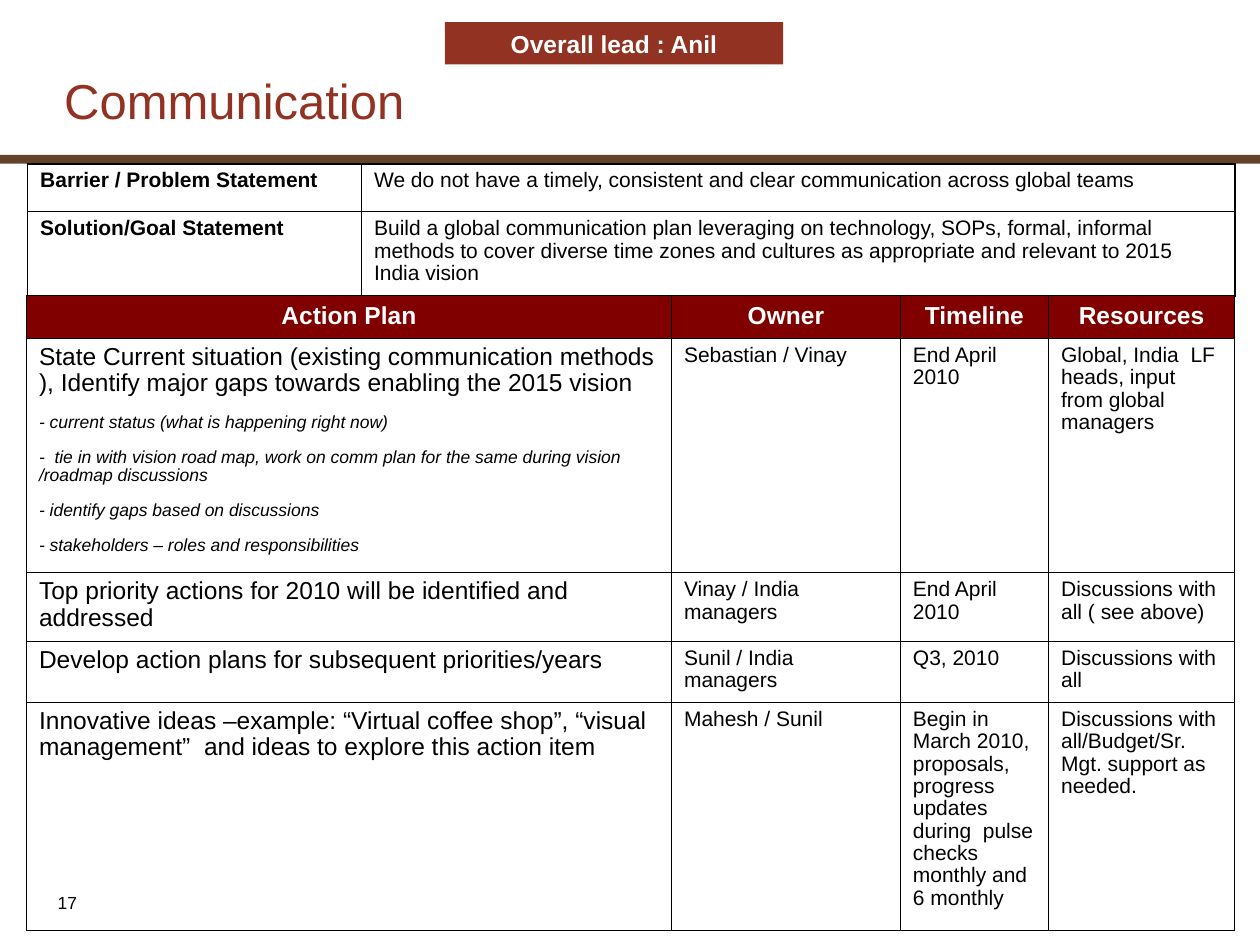
"""Build the Communication action plan slide."""
from dataclasses import dataclass

from lxml.etree import SubElement
from pptx import Presentation
from pptx.dml.color import RGBColor
from pptx.enum.shapes import MSO_SHAPE
from pptx.enum.text import MSO_ANCHOR, PP_ALIGN
from pptx.oxml.ns import qn
from pptx.util import Pt


@dataclass(frozen=True)
class Theme:
    font: str = "Arial"
    ink: str = "000000"
    paper: str = "FFFFFF"
    accent: str = "923222"
    header: str = "800000"
    bar: str = "634329"
    title: float = 28
    large: float = 14
    medium: float = 12
    small: float = 10
    thin: float = 0.45
    thick: float = 1.08
    leading: float = 0.95


class SlideBuilder:
    def __init__(self, page, theme):
        self.page = page
        self.theme = theme
        body = {"color": theme.ink, "bold": False, "italic": False,
                "alignment": PP_ALIGN.LEFT, "line_spacing": theme.leading}
        self.formats = {
            "title": body | {"size": theme.title, "color": theme.accent},
            "header": body | {"size": theme.large, "color": theme.paper, "bold": True,
                              "alignment": PP_ALIGN.CENTER, "line_spacing": 1.0},
            "label": body | {"size": theme.medium, "bold": True},
            "action": body | {"size": theme.large},
            "detail": body | {"size": theme.medium},
            "note": body | {"size": theme.small, "italic": True, "space_before": Pt(9.4)},
            "number": body | {"size": theme.small, "line_spacing": 1.0},
        }

    def fill_text(self, frame, *lines):
        frame.word_wrap = True
        for index, (name, text) in enumerate(lines):
            para = frame.add_paragraph() if index else frame.paragraphs[0]
            span = para.add_run()
            span.text = text
            span.font.name = self.theme.font
            for key, value in self.formats[name].items():
                if key == "color":
                    span.font.color.rgb = RGBColor.from_string(value)
                elif key == "size":
                    span.font.size = Pt(value)
                else:
                    setattr(span.font if key in ("bold", "italic") else para, key, value)

    def title(self, area, text):
        box = self.page.shapes.title
        for key, value in zip(("left", "top", "width", "height"), area):
            setattr(box, key, Pt(value))
        box.text_frame.vertical_anchor = MSO_ANCHOR.BOTTOM
        self.fill_text(box.text_frame, ("title", text))

    def rectangle(self, area, color, *lines):
        box = self.page.shapes.add_shape(MSO_SHAPE.RECTANGLE, *map(Pt, area))
        box.shadow.inherit = False
        box.fill.solid()
        box.fill.fore_color.rgb = RGBColor.from_string(color)
        box.line.fill.background()
        self.fill_text(box.text_frame, *lines)

    def text(self, area, *lines):
        box = self.page.shapes.add_textbox(*map(Pt, area))
        self.fill_text(box.text_frame, *lines)

    def borders(self, cell, widths):
        properties = cell._tc.get_or_add_tcPr()
        for side, width in zip("LRTB", widths):
            line = SubElement(properties, qn(f"a:ln{side}"), w=str(Pt(width)))
            fill = SubElement(line, qn("a:solidFill"))
            SubElement(fill, qn("a:srgbClr"), val=self.theme.ink)

    def table(self, left, top, columns, heights, rows, outer):
        frame = self.page.shapes.add_table(
            len(rows), len(columns), Pt(left), Pt(top), Pt(sum(columns)), Pt(sum(heights)))
        grid = frame.table
        grid.first_row = grid.horz_banding = False
        for column, width in zip(grid.columns, columns):
            column.width = Pt(width)
        for row, height in zip(grid.rows, heights):
            row.height = Pt(height)
        last_row, last_column = len(rows) - 1, len(columns) - 1
        for r, row in enumerate(rows):
            for c, lines in enumerate(row):
                cell = grid.cell(r, c)
                edges = (c == 0, c == last_column, r == 0, r == last_row)
                self.borders(cell, [outer if edge else self.theme.thin for edge in edges])
                if lines[0][0] == "header":
                    cell.fill.solid()
                    cell.fill.fore_color.rgb = RGBColor.from_string(self.theme.header)
                else:
                    cell.fill.background()
                self.fill_text(cell.text_frame, *lines)


STATEMENTS = [
    ("Barrier / Problem Statement",
     "We do not have a timely, consistent and clear communication across global teams"),
    ("Solution/Goal Statement",
     "Build a global communication plan leveraging on technology, SOPs, formal, informal "
     "methods to cover diverse time zones and cultures as appropriate and relevant to 2015 "
     "India vision"),
]
HEADINGS = ["Action Plan", "Owner", "Timeline", "Resources"]
ACTIONS = [
    ("State Current situation (existing communication methods ), Identify major gaps "
     "towards enabling the 2015 vision",
     "Sebastian / Vinay", "End April 2010",
     "Global, India  LF heads, input from global managers"),
    ("Top priority actions for 2010 will be identified and addressed",
     "Vinay / India managers", "End April 2010", "Discussions with all ( see above)"),
    ("Develop action plans for subsequent priorities/years",
     "Sunil / India managers", "Q3, 2010", "Discussions with all"),
    ("Innovative ideas –example: “Virtual coffee shop”, “visual management”  and ideas to "
     "explore this action item",
     "Mahesh / Sunil",
     "Begin in March 2010, proposals, progress updates during  pulse checks monthly and "
     "6 monthly",
     "Discussions with all/Budget/Sr. Mgt. support as needed."),
]
NOTES = [
    "- current status (what is happening right now)",
    "-  tie in with vision road map, work on comm plan for the same during vision "
    "/roadmap discussions",
    "- identify gaps based on discussions",
    "- stakeholders – roles and responsibilities",
]


def main():
    deck = Presentation()
    deck.slide_width, deck.slide_height = Pt(720), Pt(540)
    theme = Theme()
    builder = SlideBuilder(deck.slides.add_slide(deck.slide_layouts[5]), theme)

    builder.rectangle((0, 88.5, 720, 5), theme.bar)
    builder.text((25.9, 506.2, 85.7, 19.4), ("number", "17"))
    builder.title((29.5, 38.9, 648, 39.6), "Communication")

    statements = [[[("label", label)], [("detail", text)]] for label, text in STATEMENTS]
    builder.table(15.8, 93.6, (190.8, 499), (27.4, 48.2), statements, theme.thick)

    plan = [[[("header", heading)] for heading in HEADINGS]]
    for action, *details in ACTIONS:
        plan.append([[("action", action)]] + [[("detail", text)] for text in details])
    plan[1][0] += [("note", note) for note in NOTES]
    builder.table(15.1, 168.9, (368.6, 130.8, 84.7, 106.3),
                  (24.5, 133.9, 39.3, 34.8, 130.3), plan, theme.thin)

    builder.rectangle((254.2, 12.6, 193.3, 24.2), theme.accent,
                      ("header", "Overall lead : Anil"))
    deck.save("out.pptx")


if __name__ == "__main__":
    main()
